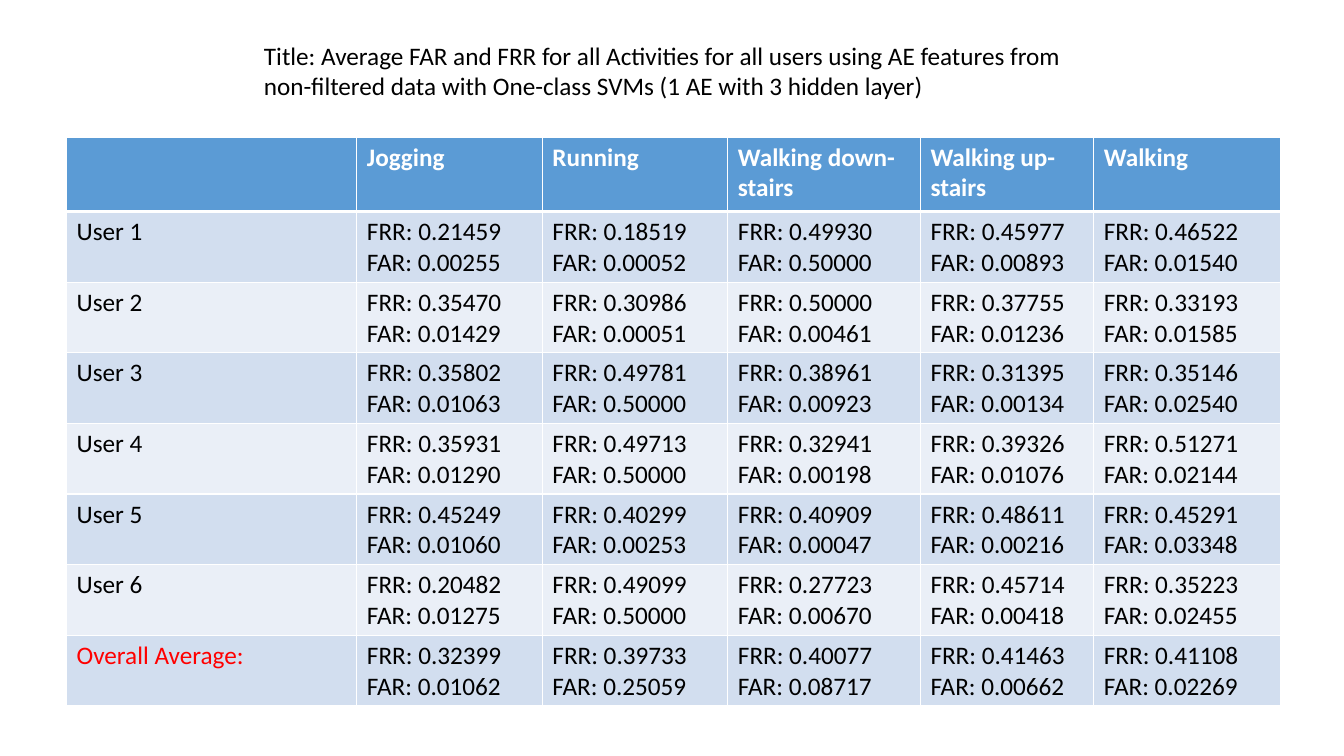
"""Build a slide with a table of FRR and FAR per user and activity."""
from dataclasses import dataclass

from lxml import etree
from pptx import Presentation
from pptx import util as u
from pptx.dml import color
from pptx.enum import text
from pptx.oxml import ns

COLORS = {
    "header": "5B9BD5",
    "odd": "D2DEEF",
    "even": "EAEFF7",
    "white": "FFFFFF",
    "black": "000000",
    "red": "FF0000",
}
FONT = "Calibri"
TITLE = ("Title: Average FAR and FRR for all Activities for all users using AE features "
         "from non-filtered data with One-class SVMs (1 AE with 3 hidden layer)")
ACTIVITIES = ["", "Jogging", "Running", "Walking down-stairs", "Walking up-stairs", "Walking"]
COLUMN_WIDTHS = [2.88, 1.84, 1.84, 1.91, 1.72, 1.85]
HEADER_HEIGHT, BODY_HEIGHT = 0.74, 0.7


@dataclass(frozen=True)
class UserRates:
    label: str
    frr: tuple[float, ...]
    far: tuple[float, ...]
    label_color: str = "black"


RATES = [
    UserRates("User 1", (0.21459, 0.18519, 0.49930, 0.45977, 0.46522),
              (0.00255, 0.00052, 0.50000, 0.00893, 0.01540)),
    UserRates("User 2", (0.35470, 0.30986, 0.50000, 0.37755, 0.33193),
              (0.01429, 0.00051, 0.00461, 0.01236, 0.01585)),
    UserRates("User 3", (0.35802, 0.49781, 0.38961, 0.31395, 0.35146),
              (0.01063, 0.50000, 0.00923, 0.00134, 0.02540)),
    UserRates("User 4", (0.35931, 0.49713, 0.32941, 0.39326, 0.51271),
              (0.01290, 0.50000, 0.00198, 0.01076, 0.02144)),
    UserRates("User 5", (0.45249, 0.40299, 0.40909, 0.48611, 0.45291),
              (0.01060, 0.00253, 0.00047, 0.00216, 0.03348)),
    UserRates("User 6", (0.20482, 0.49099, 0.27723, 0.45714, 0.35223),
              (0.01275, 0.50000, 0.00670, 0.00418, 0.02455)),
    UserRates("Overall Average:", (0.32399, 0.39733, 0.40077, 0.41463, 0.41108),
              (0.01062, 0.25059, 0.08717, 0.00662, 0.02269), "red"),
]


def rgb(name: str) -> color.RGBColor:
    return color.RGBColor.from_string(COLORS[name])


def write_lines(frame, lines: list[str], ink: str = "black", bold: bool = False) -> None:
    for index, line in enumerate(lines):
        paragraph = frame.paragraphs[0] if index == 0 else frame.add_paragraph()
        run = paragraph.add_run()
        run.text = line
        run.font.name = FONT
        run.font.size = u.Pt(18)
        run.font.bold = bold
        run.font.color.rgb = rgb(ink)


def add_borders(cell, bottom: int, top: int) -> None:
    properties = cell._tc.get_or_add_tcPr()
    for tag, points in (("a:lnL", 1), ("a:lnR", 1), ("a:lnT", top), ("a:lnB", bottom)):
        line = etree.SubElement(properties, ns.qn(tag), w=str(u.Pt(points)))
        fill = etree.SubElement(line, ns.qn("a:solidFill"))
        etree.SubElement(fill, ns.qn("a:srgbClr"), val=COLORS["white"])


def fill_cell(cell, row: int, lines: list[str], ink: str) -> None:
    is_header = row == 0
    add_borders(cell, bottom=3 if is_header else 1, top=3 if row == 1 else 1)
    cell.fill.solid()
    cell.fill.fore_color.rgb = rgb("header" if is_header else "odd" if row % 2 else "even")
    if any(lines):
        write_lines(cell.text_frame, lines, ink, is_header)


def add_title(slide) -> None:
    box = slide.shapes.add_textbox(u.Inches(2.52), u.Inches(0.35), u.Inches(8.13), u.Inches(0.71))
    box.text_frame.word_wrap = True
    box.text_frame.auto_size = text.MSO_AUTO_SIZE.SHAPE_TO_FIT_TEXT
    write_lines(box.text_frame, [TITLE])


def add_rates_table(slide) -> None:
    heights = [HEADER_HEIGHT] + [BODY_HEIGHT] * len(RATES)
    table = slide.shapes.add_table(
        len(heights), len(COLUMN_WIDTHS), u.Inches(0.66), u.Inches(1.36),
        u.Inches(sum(COLUMN_WIDTHS)), u.Inches(sum(heights))).table
    for column, width in zip(table.columns, COLUMN_WIDTHS):
        column.width = u.Inches(width)
    for row, height in zip(table.rows, heights):
        row.height = u.Inches(height)
    for column, activity in enumerate(ACTIVITIES):
        fill_cell(table.cell(0, column), 0, [activity], "white")
    for row, rates in enumerate(RATES, start=1):
        fill_cell(table.cell(row, 0), row, [rates.label], rates.label_color)
        for column, (frr, far) in enumerate(zip(rates.frr, rates.far), start=1):
            lines = [f"FRR: {frr:.5f}", f"FAR: {far:.5f}"]
            fill_cell(table.cell(row, column), row, lines, "black")


presentation = Presentation()
presentation.slide_width = u.Inches(13.33)
presentation.slide_height = u.Inches(7.5)
rates_slide = presentation.slides.add_slide(presentation.slide_layouts[6])
add_title(rates_slide)
add_rates_table(rates_slide)
presentation.save("out.pptx")
